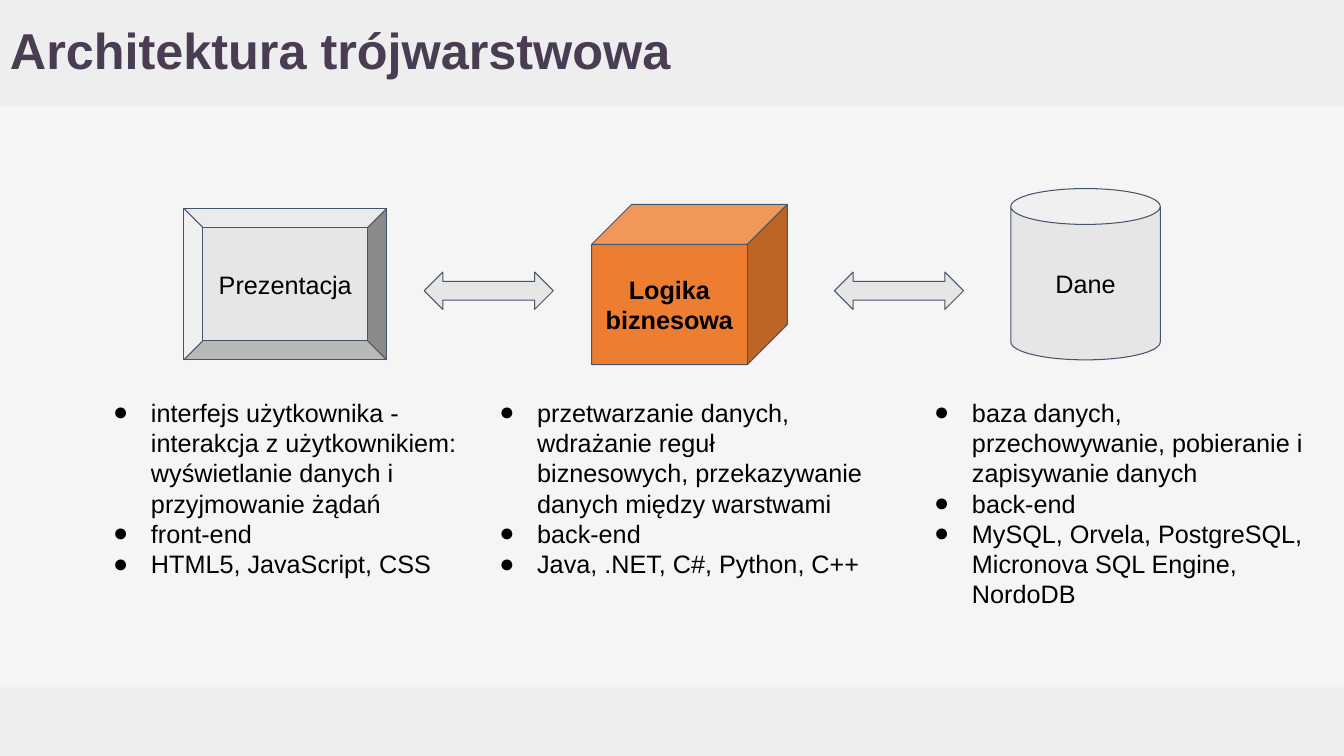
from lxml import etree
from pptx import Presentation
from pptx.dml.color import RGBColor
from pptx.enum.shapes import MSO_SHAPE as SHAPE
from pptx.enum.text import MSO_ANCHOR as ANCHOR, PP_ALIGN as ALIGN
from pptx.oxml.ns import qn
from pptx.util import Pt

BACKGROUND = RGBColor(0xF5, 0xF5, 0xF5)
BAND = RGBColor(0xEE, 0xEE, 0xEE)
TITLE = RGBColor(0x4A, 0x3D, 0x53)
GRAY = RGBColor(0xE7, 0xE6, 0xE6)
ORANGE = RGBColor(0xED, 0x7D, 0x31)
OUTLINE = RGBColor(0x44, 0x54, 0x6A)
BLACK = RGBColor(0, 0, 0)


def add_shape(kind, left, top, width, height, fill, line=None):
    sp = s.shapes.add_shape(kind, Pt(left), Pt(top), Pt(width), Pt(height))
    sp.shadow.inherit = False
    sp.fill.solid()
    sp.fill.fore_color.rgb = fill
    if line is None:
        sp.line.fill.background()
    else:
        sp.line.color.rgb = line
        sp.line.width = Pt(0.75)
    return sp


def set_text(sp, lines, size, color, bold=False, align=ALIGN.LEFT, anchor=ANCHOR.TOP):
    tf = sp.text_frame
    tf.word_wrap = True
    tf.vertical_anchor = anchor
    tf.margin_left = tf.margin_right = tf.margin_top = tf.margin_bottom = Pt(7.2)
    tf.text = "\n".join(lines)
    for p in tf.paragraphs:
        p.alignment = align
        for r in p.runs:
            r.font.name = "Arial"
            r.font.size = Pt(size)
            r.font.bold = bold
            r.font.color.rgb = color
    return tf


prs = Presentation()
prs.slide_width, prs.slide_height = Pt(960), Pt(540)
s = prs.slides.add_slide(prs.slide_layouts[6])
s.background.fill.solid()
s.background.fill.fore_color.rgb = BACKGROUND

add_shape(SHAPE.RECTANGLE, 0, 491, 960, 49, BAND)
add_shape(SHAPE.RECTANGLE, 0, 0, 960, 75.6, BAND)

title = s.shapes.add_textbox(Pt(0), Pt(0), Pt(858), Pt(75.6))
tf = set_text(title, ["Architektura trójwarstwowa"], 36, TITLE, True, anchor=ANCHOR.MIDDLE)
tf.paragraphs[0].line_spacing = 0.9

layers = [
    (SHAPE.CAN, 722, 134.7, 106.8, 122.4, 0.24, GRAY, "Dane", False),
    (SHAPE.CUBE, 422.6, 146, 139.8, 114.4, 0.25, ORANGE, "Logika biznesowa", True),
    (SHAPE.BEVEL, 131.4, 149, 144.7, 108, 0.125, GRAY, "Prezentacja", False),
]
for kind, left, top, width, height, adj, fill, name, bold in layers:
    sp = add_shape(kind, left, top, width, height, fill, OUTLINE)
    sp.adjustments[0] = adj
    set_text(sp, [name], 18, BLACK, bold, ALIGN.CENTER, ANCHOR.MIDDLE)

columns = [
    (64.8, 269.3, [
        "interfejs użytkownika - interakcja z użytkownikiem: wyświetlanie danych i przyjmowanie żądań",
        "front-end",
        "HTML5, JavaScript, CSS",
    ]),
    (340.6, 286.6, [
        "przetwarzanie danych, wdrażanie reguł biznesowych, przekazywanie danych między warstwami",
        "back-end",
        "Java, .NET, C#, Python, C++",
    ]),
    (651.2, 286.6, [
        "baza danych, przechowywanie, pobieranie i zapisywanie danych",
        "back-end",
        "MySQL, Orvela, PostgreSQL, Micronova SQL Engine, NordoDB",
    ]),
]
for left, width, items in columns:
    box = s.shapes.add_textbox(Pt(left), Pt(276.5), Pt(width), Pt(188))
    tf = set_text(box, items, 18, BLACK)
    for p in tf.paragraphs:
        pPr = p._p.get_or_add_pPr()
        pPr.set("marL", str(Pt(36)))
        pPr.set("indent", str(Pt(-27)))
        color = etree.SubElement(pPr, qn("a:buClr"))
        etree.SubElement(color, qn("a:srgbClr"), val=str(BLACK))
        etree.SubElement(pPr, qn("a:buFont"), typeface="Arial")
        etree.SubElement(pPr, qn("a:buChar"), char="●")

for left in (303, 596):
    add_shape(SHAPE.LEFT_RIGHT_ARROW, left, 194.4, 92.2, 26.6, GRAY, OUTLINE)

prs.save("out.pptx")
